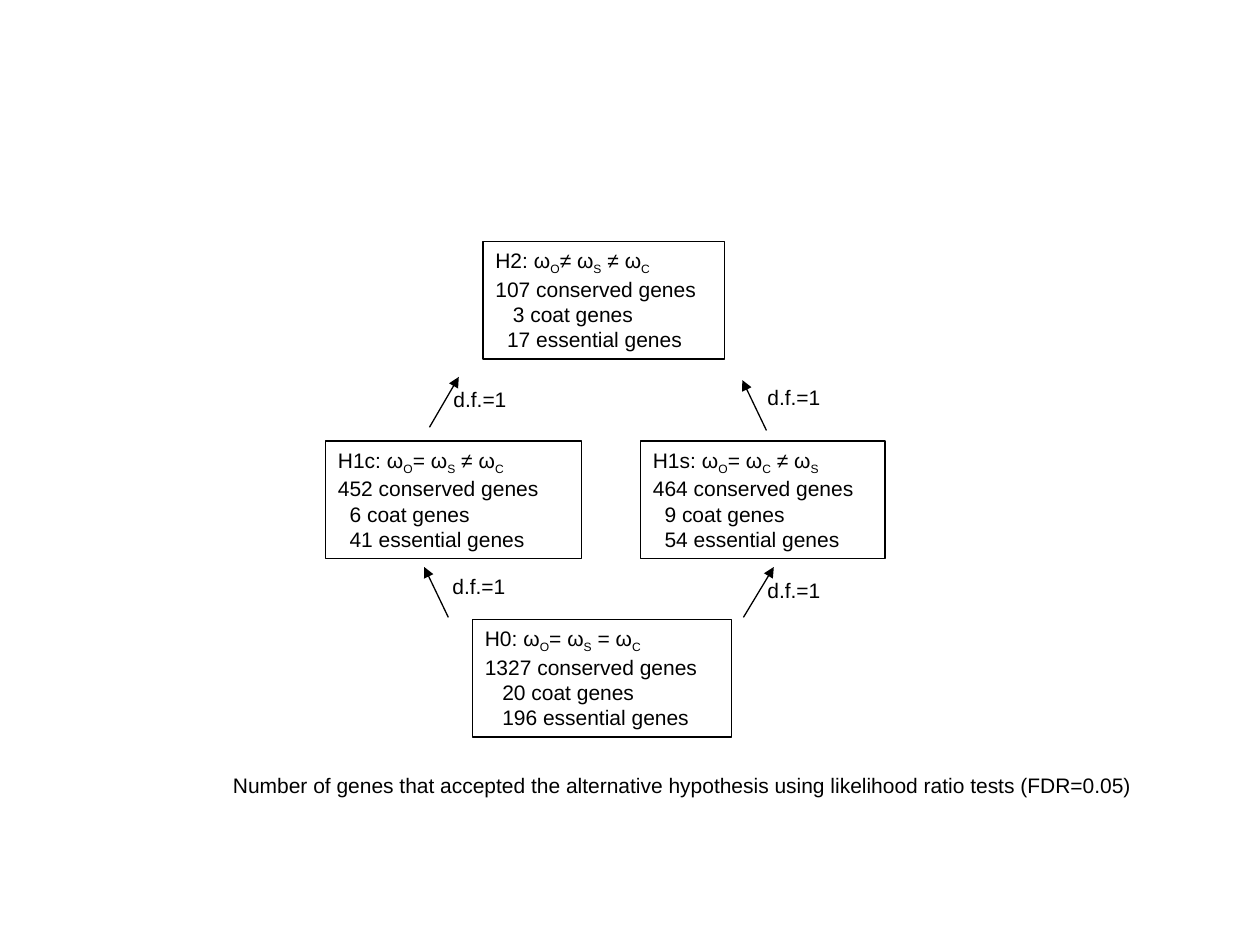
from collections import namedtuple

from lxml import etree
from pptx import Presentation, util as u
from pptx.dml.color import RGBColor
from pptx.enum import shapes, text
from pptx.oxml import ns

BLACK = RGBColor(0, 0, 0)
FONT, TEXT_SIZE, LINE_WIDTH = "Arial", 12, 0.75
COLUMNS, ROWS = 120, 90
SLIDE_WIDTH, SLIDE_HEIGHT = u.Inches(10), u.Inches(7.5)
MODEL_HEIGHT, LABEL_WIDTH, LABEL_HEIGHT = 11.2, 7.6, 3.6
SPACE_WIDTH = u.Pt(3.33)

Box = namedtuple("Box", "left top width height")

MODELS = [
    (14, 36, 24.7, ["H0: ω", "O", "= ω", "S", " = ω", "C"],
     [("1327 conserved genes", 0), ("20 coat genes", 3), ("196 essential genes", 3)]),
    (15, 0, 23, ["H2: ω", "O", "≠ ω", "S", " ≠ ω", "C"],
     [("107 conserved genes", 0), ("3 coat genes", 3), ("17 essential genes", 2)]),
    (0, 19, 24.4, ["H1c: ω", "O", "= ω", "S", " ≠ ω", "C"],
     [("452 conserved genes", 0), ("6 coat genes", 2), ("41 essential genes", 2)]),
    (30, 19, 23.3, ["H1s: ω", "O", "= ω", "C", " ≠ ω", "S"],
     [("464 conserved genes", 0), ("9 coat genes", 2), ("54 essential genes", 2)]),
]
TESTS = [
    ((39.8, 35.8), (42.7, 31), (40.9, 31.4)),
    ((11.7, 35.8), (9.4, 31), (10.9, 31)),
    ((9.9, 17.7), (12.7, 12.9), (11, 13.2)),
    ((42, 18), (39.7, 13.2), (40.9, 13)),
]


def across(columns):
    """Turn grid columns into a length."""
    return round(SLIDE_WIDTH * columns / COLUMNS)


def down(rows):
    """Turn grid rows into a length."""
    return round(SLIDE_HEIGHT * rows / ROWS)


def place(box):
    """Turn a grid box into slide lengths."""
    return across(box.left), down(box.top), across(box.width), down(box.height)


def add_span(para, words, subscript=False, size=TEXT_SIZE, color=BLACK):
    """Add formatted words to a paragraph."""
    span = para.add_run()
    span.text = words
    span.font.name, span.font.size = FONT, u.Pt(size)
    span.font.color.rgb = color
    if subscript:
        span.font._element.set("baseline", "-25000")


def add_label(parent, box, words, wrap=True):
    """Add a single line of text in a text box that fits its text."""
    label = parent.shapes.add_textbox(*place(box))
    label.text_frame.word_wrap = wrap
    label.text_frame.auto_size = text.MSO_AUTO_SIZE.SHAPE_TO_FIT_TEXT
    add_span(label.text_frame.paragraphs[0], words)


def add_model(parent, box, formula, counts):
    """Add an outlined box with a hypothesis and its gene counts."""
    model = parent.shapes.add_shape(shapes.MSO_SHAPE.RECTANGLE, *place(box))
    model.shadow.inherit = False
    model.fill.background()
    model.line.color.rgb, model.line.width = BLACK, u.Pt(LINE_WIDTH)
    frame = model.text_frame
    frame.word_wrap = True
    frame.vertical_anchor = text.MSO_ANCHOR.TOP
    heading = frame.paragraphs[0]
    heading.alignment = text.PP_ALIGN.LEFT
    for position, words in enumerate(formula):
        add_span(heading, words, subscript=position % 2 == 1)
    for words, spaces in counts:
        para = frame.add_paragraph()
        para.alignment = text.PP_ALIGN.LEFT
        para._p.get_or_add_pPr().set("marL", str(spaces * SPACE_WIDTH))
        add_span(para, words)


def add_arrow(parent, start, end):
    """Add a straight arrow between two grid points."""
    arrow = parent.shapes.add_connector(
        shapes.MSO_CONNECTOR.STRAIGHT,
        across(start[0]), down(start[1]), across(end[0]), down(end[1]))
    arrow.line.color.rgb, arrow.line.width = BLACK, u.Pt(LINE_WIDTH)
    etree.SubElement(arrow.line._get_or_add_ln(), ns.qn("a:tailEnd"), type="triangle")
    etree.SubElement(arrow._element.spPr, ns.qn("a:effectLst"))


def add_lattice(page, box):
    """Add the nested hypotheses and the tests that link them."""
    lattice = page.shapes.add_group_shape()
    for left, top, width, formula, counts in MODELS:
        model_box = Box(box.left + left, box.top + top, width, MODEL_HEIGHT)
        add_model(lattice, model_box, formula, counts)
    for points in TESTS:
        start, end, corner = [(box.left + x, box.top + y) for x, y in points]
        add_arrow(lattice, start, end)
        add_label(lattice, Box(*corner, LABEL_WIDTH, LABEL_HEIGHT), "d.f.=1", wrap=False)


def main():
    """Build and save the deck."""
    deck = Presentation()
    deck.slide_width, deck.slide_height = SLIDE_WIDTH, SLIDE_HEIGHT
    page = deck.slides.add_slide(deck.slide_layouts[6])
    add_lattice(page, Box(31, 23, 53.3, 47.2))
    add_label(page, Box(21, 73, 94, LABEL_HEIGHT),
              "Number of genes that accepted the alternative hypothesis "
              "using likelihood ratio tests (FDR=0.05)")
    deck.save("out.pptx")


if __name__ == "__main__":
    main()
